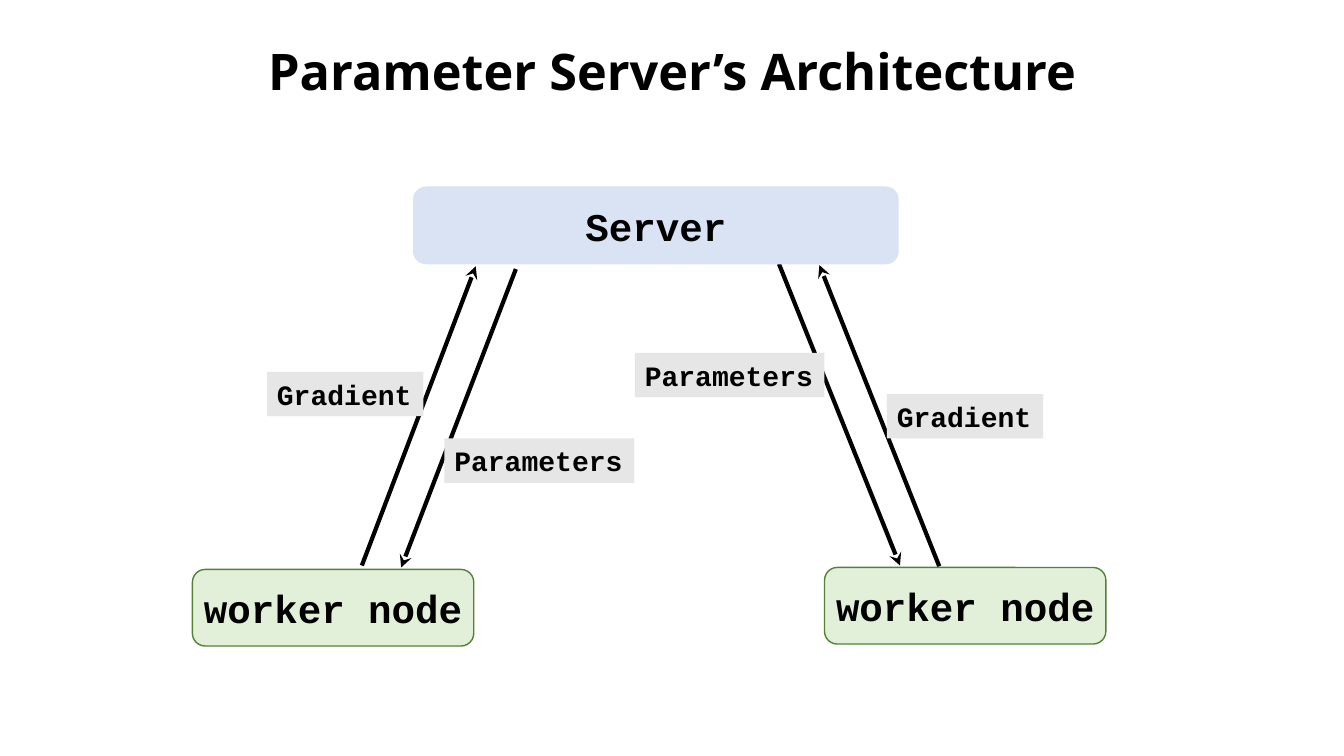
from dataclasses import dataclass

from lxml.etree import SubElement
from pptx import Presentation
from pptx.dml.color import RGBColor
from pptx.enum.shapes import MSO_CONNECTOR, MSO_SHAPE
from pptx.enum.text import MSO_ANCHOR, PP_ALIGN
from pptx.oxml.ns import qn
from pptx.util import Cm, Pt

COLOURS = {
    "ink": "000000",
    "server": "DAE3F3",
    "worker": "E2F0D9",
    "edge": "548235",
    "label": "E7E6E6",
}
TITLE = {"name": "Noto Sans", "size": Pt(36), "bold": True}
NODE = {"name": "Courier New", "size": Pt(28), "bold": True}
LABEL = {**NODE, "size": Pt(20)}


@dataclass
class Box:
    text: str
    left: float
    top: float
    width: float
    height: float
    fill: str
    edge: str = ""
    node: bool = True


@dataclass
class Arrow:
    start: tuple[float, float]
    end: tuple[float, float]


def tag(text: str, left: float, top: float, width: float) -> Box:
    return Box(text, left, top, width, 1.12, "label", node=False)


def worker(left: float, top: float) -> Box:
    return Box("worker node", left, top, 7.09, 1.93, "worker", "edge")


ARROWS = [
    Arrow((13, 6.78), (10.11, 14.3)),
    Arrow((19.63, 6.65), (22.68, 14.25)),
    Arrow((9.12, 14.25), (11.99, 6.71)),
    Arrow((23.67, 14.27), (20.65, 6.68)),
]
BOXES = [
    Box("Server", 10.41, 4.7, 12.24, 1.96, "server"),
    worker(4.85, 14.35),
    worker(20.78, 14.3),
    tag("Parameters", 11.2, 11.05, 4.78),
    tag("Parameters", 16, 8.89, 4.78),
    tag("Gradient", 22.35, 9.93, 3.94),
    tag("Gradient", 6.73, 9.37, 3.94),
]


def colour(key: str) -> RGBColor:
    return RGBColor.from_string(COLOURS[key])


def write(frame, text: str, style: dict, align: PP_ALIGN) -> None:
    frame.text = text
    frame.vertical_anchor = MSO_ANCHOR.MIDDLE
    para = frame.paragraphs[0]
    para.alignment = align
    font = para.runs[0].font
    for name, value in style.items():
        setattr(font, name, value)
    font.color.rgb = colour("ink")


def draw_arrow(slide, arrow: Arrow) -> None:
    points = [Cm(value) for value in (*arrow.start, *arrow.end)]
    line = slide.shapes.add_connector(MSO_CONNECTOR.STRAIGHT, *points)
    line.line.color.rgb = colour("ink")
    line.line.width = Pt(3)
    SubElement(line.line._get_or_add_ln(), qn("a:tailEnd"), type="stealth")
    SubElement(line._element.spPr, qn("a:effectLst"))


def draw_box(slide, box: Box) -> None:
    kind = MSO_SHAPE.ROUNDED_RECTANGLE if box.node else MSO_SHAPE.RECTANGLE
    place = [Cm(value) for value in (box.left, box.top, box.width, box.height)]
    shape = slide.shapes.add_shape(kind, *place)
    shape.shadow.inherit = False
    shape.fill.solid()
    shape.fill.fore_color.rgb = colour(box.fill)
    if box.edge:
        shape.line.color.rgb = colour(box.edge)
        shape.line.width = Pt(1)
    else:
        shape.line.fill.background()
    align = PP_ALIGN.CENTER if box.node else PP_ALIGN.LEFT
    write(shape.text_frame, box.text, NODE if box.node else LABEL, align)
    shape.text_frame.word_wrap = False


def main() -> None:
    deck = Presentation()
    deck.slide_width, deck.slide_height = Cm(33.87), Cm(19.05)
    slide = deck.slides.add_slide(deck.slide_layouts[5])

    # Title
    title = slide.shapes.title
    title.left, title.top = Cm(0), Cm(0.03)
    title.width, title.height = deck.slide_width, Cm(3.68)
    write(title.text_frame, "Parameter Server’s Architecture", TITLE, PP_ALIGN.CENTER)
    title.text_frame.paragraphs[0].line_spacing = 0.9

    # Arrows lie beneath the nodes and labels
    for arrow in ARROWS:
        draw_arrow(slide, arrow)

    # Server, workers and labels
    for box in BOXES:
        draw_box(slide, box)

    deck.save("out.pptx")


if __name__ == "__main__":
    main()
